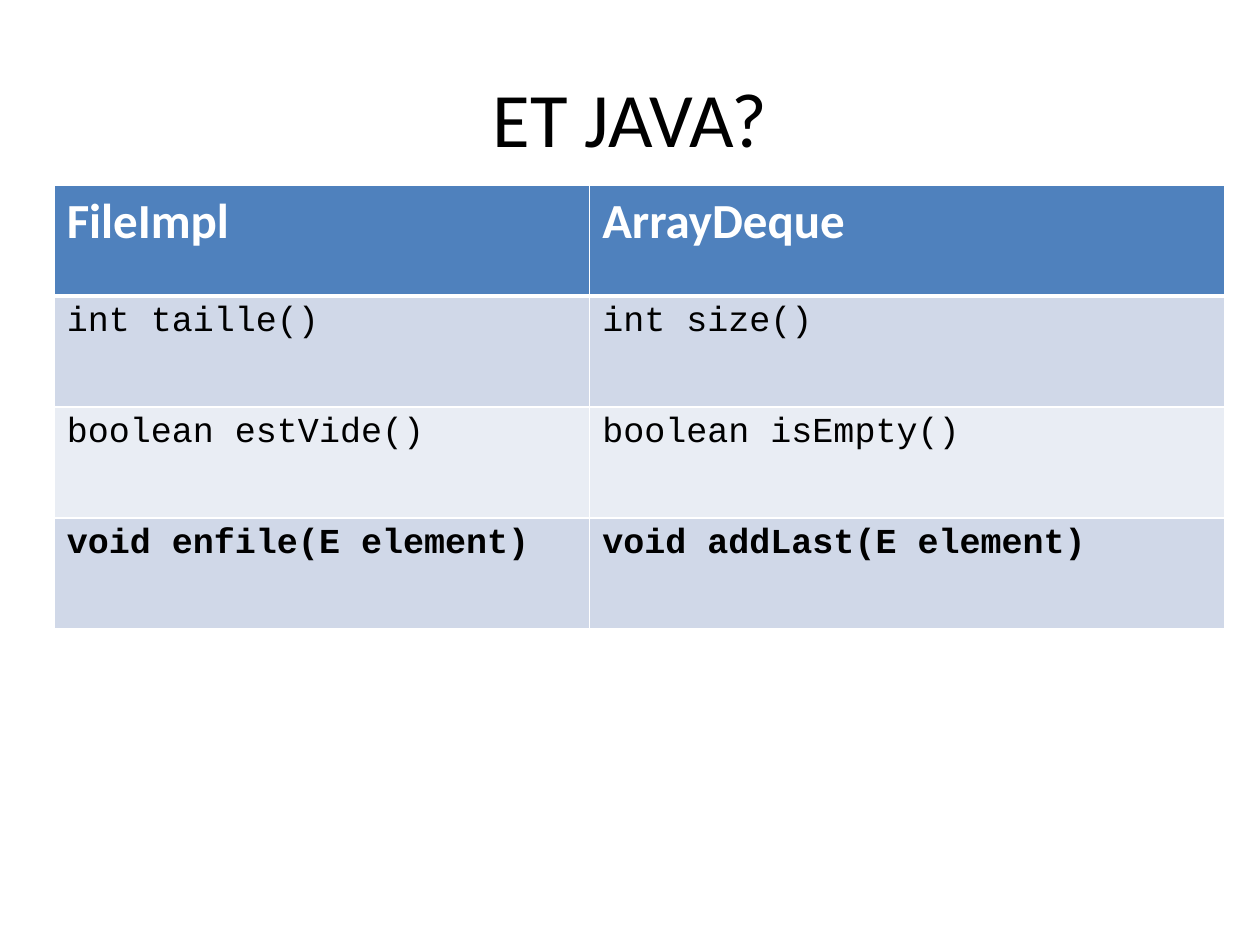
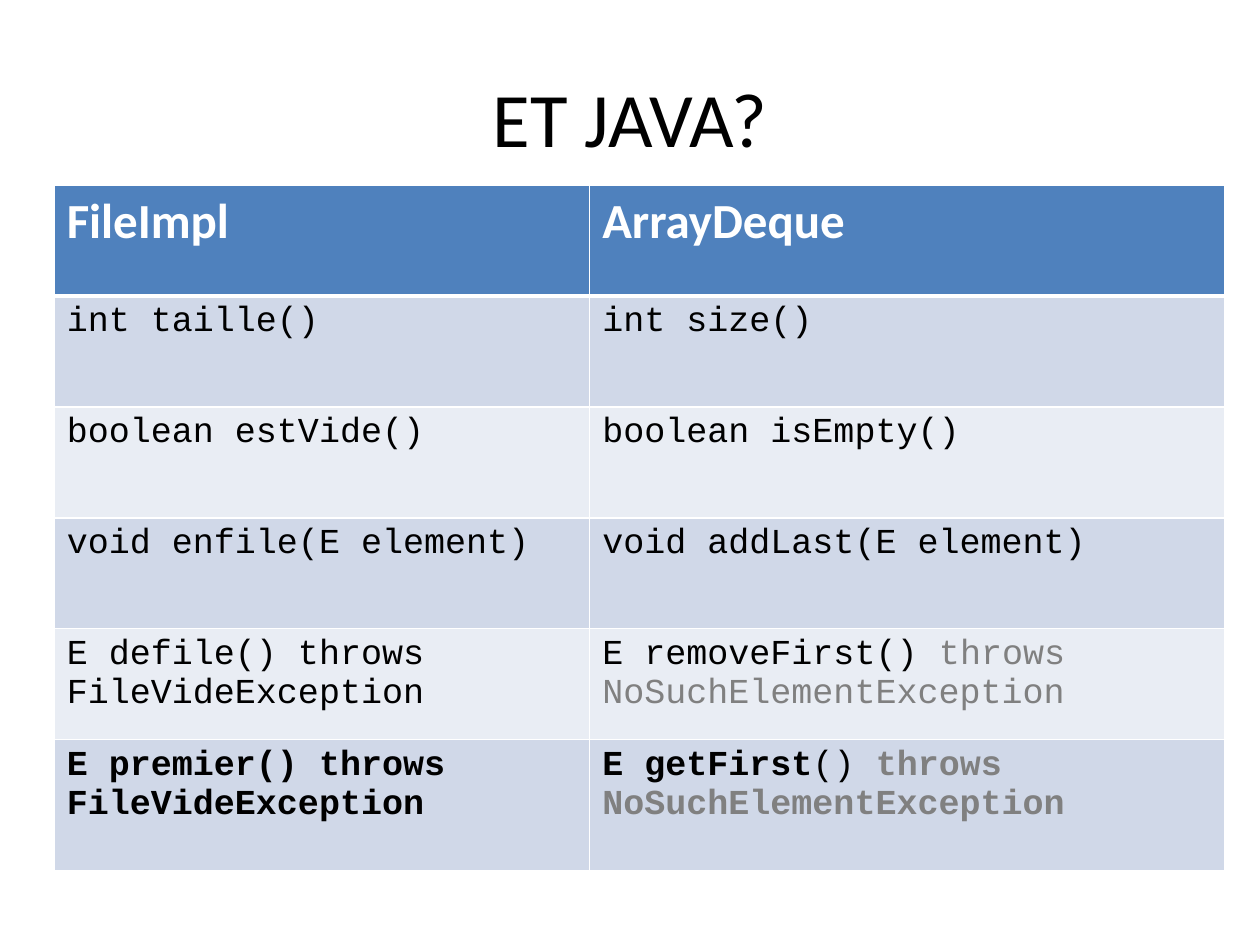
from lxml.etree import SubElement
from pptx import Presentation
from pptx.dml.color import RGBColor
from pptx.enum.text import MSO_ANCHOR, PP_ALIGN
from pptx.oxml.ns import qn
from pptx.util import Inches, Pt

COLORS = {
    "black": "000000",
    "white": "FFFFFF",
    "grey": "808080",
    "header": "4F81BD",
    "band_dark": "D0D8E8",
    "band_light": "E9EDF4",
}
TITLE = "ET JAVA?"
HEADINGS = ("FileImpl", "ArrayDeque")
COLUMN_WIDTHS = (4.25, 5.04)
ROW_HEIGHT = 0.88
TALL_ROW_HEIGHT = 1.04

# Each cell is a list of paragraphs, each paragraph a list of (text, bold, colour)
SIZE = ([[("int taille()", False, "black")]], [[("int size()", False, "black")]])
EMPTY = ([[("boolean estVide()", False, "black")]],
         [[("boolean isEmpty()", False, "black")]])


def enqueue(bold):
    return ([[("void enfile(E element)", bold, "black")]],
            [[("void addLast(E element)", bold, "black")]])


def throwing(own_method, java_runs, bold):
    own = [[(f"E {own_method}() throws FileVideException", bold, "black")]]
    java = [java_runs + [("throws", bold, "grey")],
            [("NoSuchElementException", bold, "grey")]]
    return own, java


DEQUEUE = throwing("defile", [("E removeFirst() ", False, "black")], False)
FIRST = throwing("premier", [("E getFirst", True, "black"),
                             ("() ", False, "black")], True)


def rgb(color):
    return RGBColor.from_string(COLORS[color])


def style(font, name, size, color=None, bold=None):
    font.name = name
    font.size = Pt(size)
    font.bold = bold
    if color:
        font.color.rgb = rgb(color)


def add_title(slide):
    box = slide.shapes.add_textbox(Inches(0.5), Inches(0.3), Inches(9), Inches(1.25))
    frame = box.text_frame
    frame.word_wrap = True
    frame.vertical_anchor = MSO_ANCHOR.MIDDLE
    heading = frame.paragraphs[0]
    heading.text = TITLE
    heading.alignment = PP_ALIGN.CENTER
    style(heading.font, "Calibri", 44, "black")


def paint_cell(cell, fill, bottom=1):
    # Borders must come before the fill in the cell properties
    properties = cell._tc.get_or_add_tcPr()
    for side, width in (("L", 1), ("R", 1), ("T", 1), ("B", bottom)):
        line = SubElement(properties, qn(f"a:ln{side}"), w=str(Pt(width)))
        solid = SubElement(line, qn("a:solidFill"))
        SubElement(solid, qn("a:srgbClr"), val=COLORS["white"])
    cell.fill.solid()
    cell.fill.fore_color.rgb = rgb(fill)


def write_signature(cell, lines):
    frame = cell.text_frame
    for index, runs in enumerate(lines):
        paragraph = frame.add_paragraph() if index else frame.paragraphs[0]
        uniform = len({run[1:] for run in runs}) == 1
        style(paragraph.font, "Courier New", 20)
        if uniform:
            _, bold, color = runs[0]
            style(paragraph.font, "Courier New", 20, color, bold)
        for text, bold, color in runs:
            run = paragraph.add_run()
            run.text = text
            if not uniform:
                run.font.bold = bold
                run.font.color.rgb = rgb(color)


def add_comparison(slide, methods, last_height):
    heights = [ROW_HEIGHT] * len(methods) + [last_height]
    table = slide.shapes.add_table(
        len(heights), len(HEADINGS), Inches(0.43), Inches(1.47),
        Inches(sum(COLUMN_WIDTHS)), Inches(sum(heights))).table
    for column, width in zip(table.columns, COLUMN_WIDTHS):
        column.width = Inches(width)
    for row, height in zip(table.rows, heights):
        row.height = Inches(height)

    # Header row
    for cell, heading in zip(table.rows[0].cells, HEADINGS):
        paint_cell(cell, "header", bottom=3)
        cell.text = heading
        style(cell.text_frame.paragraphs[0].font, "Calibri", 28, "white", True)

    # Banded method rows
    for index, signatures in enumerate(methods, start=1):
        band = "band_dark" if index % 2 else "band_light"
        for cell, lines in zip(table.rows[index].cells, signatures):
            paint_cell(cell, band)
            write_signature(cell, lines)


def main():
    deck = Presentation()
    deck.slide_width, deck.slide_height = Inches(10), Inches(7.5)
    comparisons = (
        ((SIZE, EMPTY, enqueue(True)), ROW_HEIGHT),
        ((SIZE, EMPTY, enqueue(False), DEQUEUE, FIRST), TALL_ROW_HEIGHT),
    )
    for methods, last_height in comparisons:
        slide = deck.slides.add_slide(deck.slide_layouts[6])
        add_title(slide)
        add_comparison(slide, methods, last_height)
    deck.save("out.pptx")


if __name__ == "__main__":
    main()
